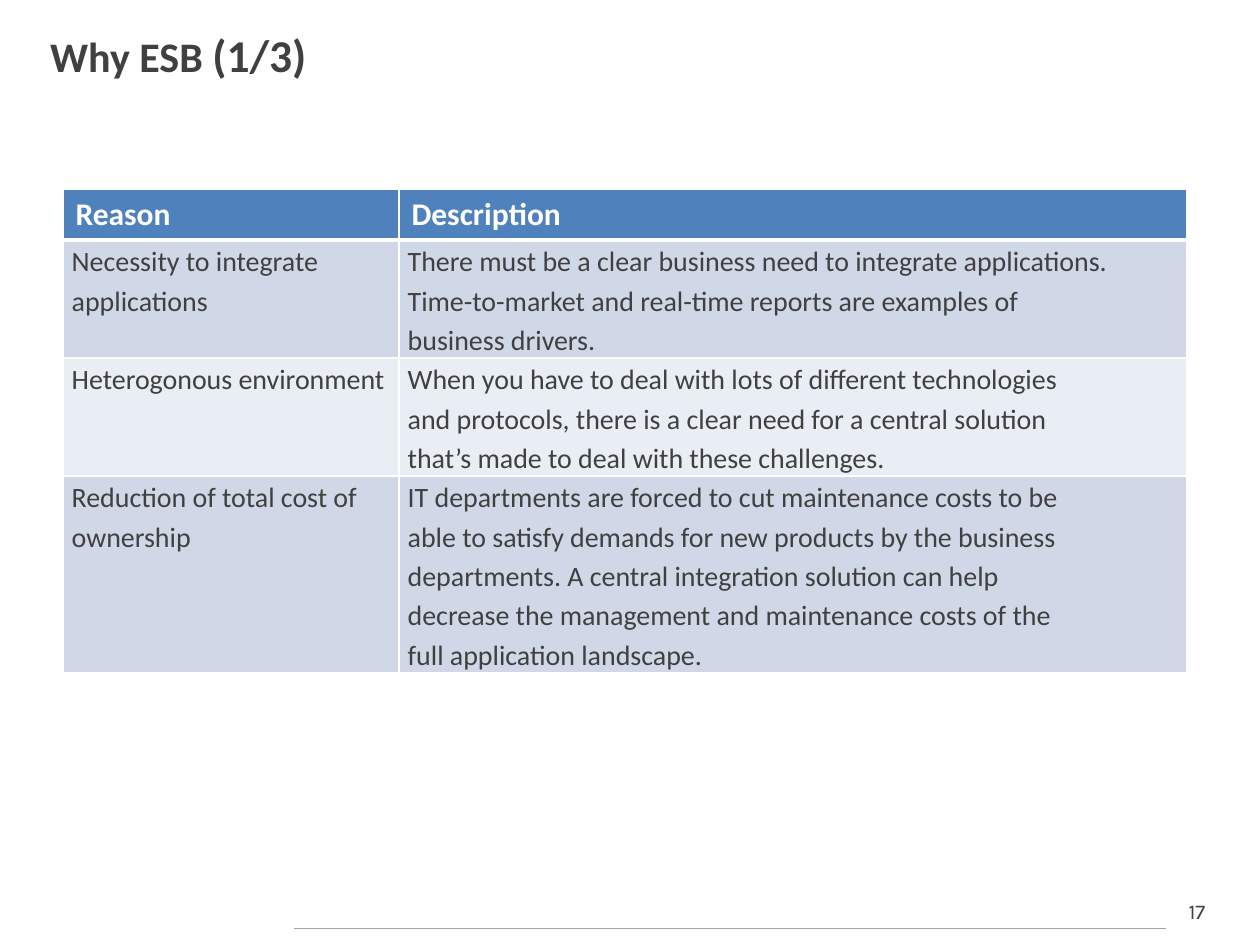
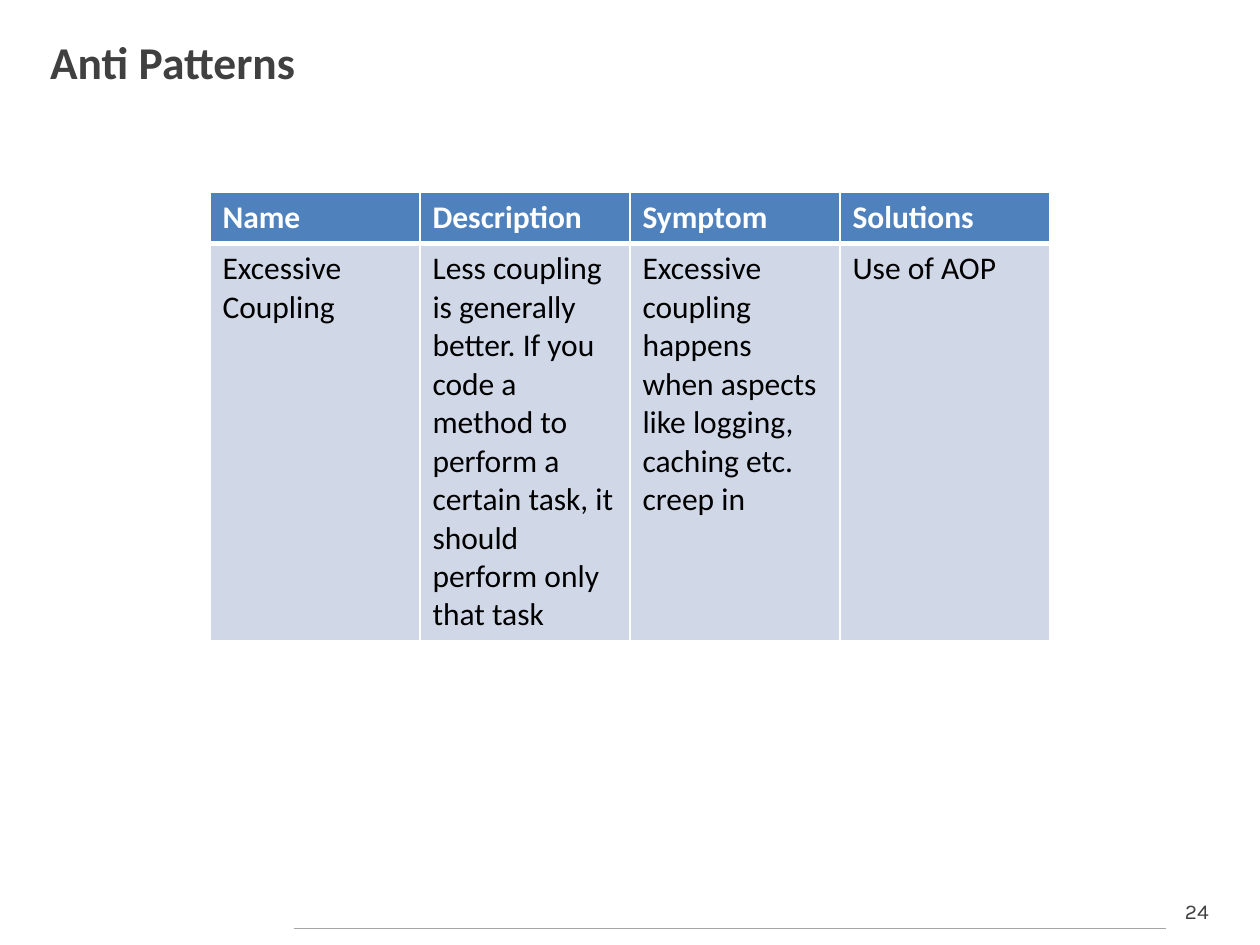
from dataclasses import dataclass

from lxml import etree
from pptx import Presentation
from pptx.dml.color import RGBColor
from pptx.enum import shapes, text
from pptx.oxml.ns import qn
from pptx.util import Pt


@dataclass(frozen=True)
class Theme:
    font: str = "Calibri"
    number_font: str = "Karla"
    ink: str = "404040"
    black: str = "000000"
    white: str = "FFFFFF"
    rule: str = "A6A6A6"
    header: str = "4F81BD"
    bands: tuple = ("D0D8E8", "E9EDF4")
    title_size: int = 26
    small_title_size: int = 24
    header_size: int = 18
    number_size: int = 12


theme = Theme()


def style_span(span, size, color, bold=False, font=theme.font):
    span.font.name = font
    span.font.size = Pt(size)
    span.font.bold = bold
    span.font.color.rgb = RGBColor.from_string(color)


def add_borders(cell, bottom_width):
    """Draw white cell borders, 1 pt except at the bottom."""
    properties = cell._tc.get_or_add_tcPr()
    for index, side in enumerate("LRTB"):
        width = bottom_width if side == "B" else 1
        line = etree.Element(qn(f"a:ln{side}"), w=str(Pt(width)))
        fill = etree.SubElement(line, qn("a:solidFill"))
        etree.SubElement(fill, qn("a:srgbClr"), val=theme.white)
        properties.insert(index, line)


pages = [
    {
        "number": "17",
        "title": [("Why ESB ", theme.small_title_size), ("(1/3)", theme.title_size)],
        "title_top": 8.64,
        "table_at": (36, 108),
        "columns": [192, 450],
        "rows": [29.2, 67.4, 67.4, 112.3],
        "body": {"size": 16, "color": theme.ink, "spacing": 1.15, "margins": (5, 0)},
        "cells": [
            ["Reason", "Description"],
            ["Necessity to integrate applications",
             "There must be a clear business need to integrate applications.\n"
             "Time-to-market and real-time reports are examples of\n"
             "business drivers."],
            ["Heterogonous environment",
             "When you have to deal with lots of different technologies\n"
             "and protocols, there is a clear need for a central solution\n"
             "that’s made to deal with these challenges."],
            ["Reduction of total cost of ownership",
             "IT departments are forced to cut maintenance costs to be\n"
             "able to satisfy demands for new products by the business\n"
             "departments. A central integration solution can help\n"
             "decrease the management and maintenance costs of the\n"
             "full application landscape."],
        ],
    },
    {
        "number": "24",
        "title": [("Anti Patterns", theme.title_size)],
        "title_top": 12.24,
        "table_at": (120, 110),
        "columns": [120] * 4,
        "rows": [29.2, 226.9],
        "body": {"size": 18, "color": theme.black, "spacing": 1.0, "margins": (7.2, 3.6)},
        "cells": [
            ["Name", "Description", "Symptom", "Solutions"],
            ["Excessive Coupling",
             "Less coupling is generally better. If you code a method to perform "
             "a certain task, it should perform only that task",
             "Excessive coupling happens when aspects like logging, caching etc. creep in",
             "Use of AOP"],
        ],
    },
]

deck = Presentation()
deck.slide_width, deck.slide_height = Pt(720), Pt(540)

for content in pages:
    page = deck.slides.add_slide(deck.slide_layouts[6])

    # Footer: page number and rule
    box = page.shapes.add_textbox(Pt(666), Pt(509.76), Pt(36), Pt(21.6))
    box.text_frame.word_wrap = True
    para = box.text_frame.paragraphs[0]
    para.text = content["number"]
    para.alignment = text.PP_ALIGN.CENTER
    style_span(para.runs[0], theme.number_size, theme.ink, font=theme.number_font)

    rule = page.shapes.add_connector(
        shapes.MSO_CONNECTOR.STRAIGHT, Pt(167.76), Pt(530.64), Pt(666), Pt(530.64))
    rule.line.color.rgb = RGBColor.from_string(theme.rule)
    rule.line.width = Pt(0.75)
    etree.SubElement(rule._element.spPr, qn("a:effectLst"))

    # Title
    box = page.shapes.add_textbox(Pt(21.6), Pt(content["title_top"]), Pt(673.92), Pt(45.36))
    box.text_frame.word_wrap = True
    box.text_frame.vertical_anchor = text.MSO_ANCHOR.MIDDLE
    for words, size in content["title"]:
        span = box.text_frame.paragraphs[0].add_run()
        span.text = words
        style_span(span, size, theme.ink, bold=True)

    # Table
    left, top = content["table_at"]
    columns, rows, body = content["columns"], content["rows"], content["body"]
    table = page.shapes.add_table(
        len(rows), len(columns), Pt(left), Pt(top), Pt(sum(columns)), Pt(sum(rows))).table
    for column, width in zip(table.columns, columns):
        column.width = Pt(width)
    for row_index, (row, height) in enumerate(zip(table.rows, rows)):
        row.height = Pt(height)
        is_header = row_index == 0
        band = theme.header if is_header else theme.bands[(row_index - 1) % 2]
        for cell, words in zip(row.cells, content["cells"][row_index]):
            cell.text_frame.text = words
            cell.fill.solid()
            cell.fill.fore_color.rgb = RGBColor.from_string(band)
            add_borders(cell, bottom_width=3 if is_header else 1)
            if not is_header:
                side, edge = body["margins"]
                cell.margin_left = cell.margin_right = Pt(side)
                cell.margin_top = cell.margin_bottom = Pt(edge)
            for para in cell.text_frame.paragraphs:
                if is_header:
                    style_span(para.runs[0], theme.header_size, theme.white, bold=True)
                else:
                    para.line_spacing = body["spacing"]
                    style_span(para.runs[0], body["size"], body["color"])

deck.save("out.pptx")
